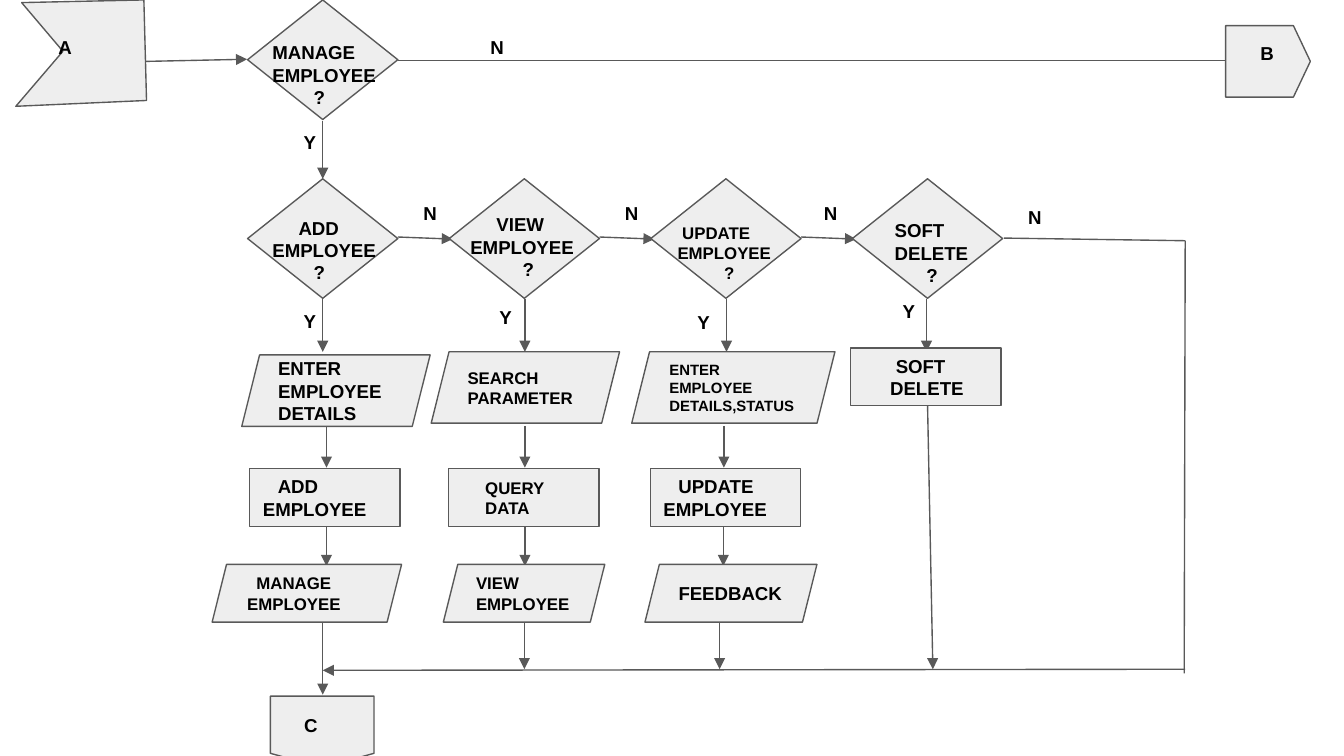
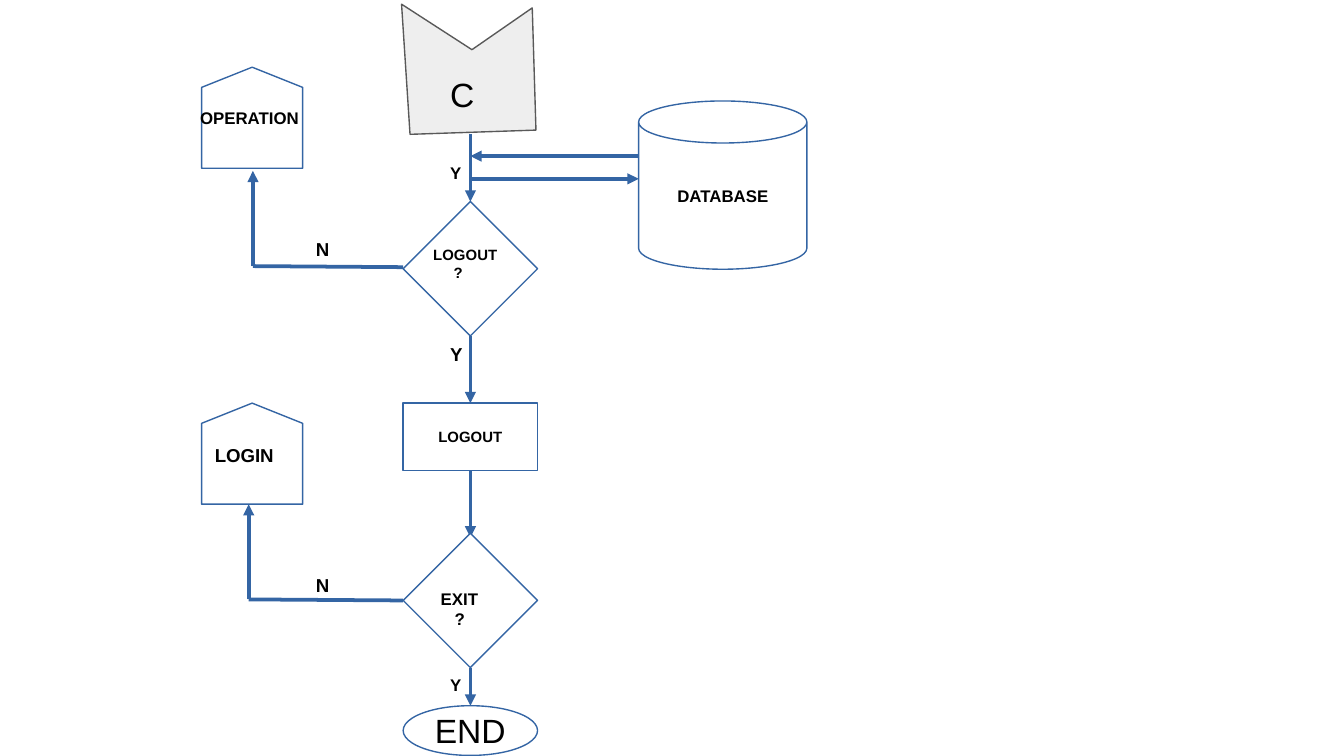
import pptx
import pptx.util
import pptx.dml.color
import pptx.enum.shapes
import pptx.enum.text
from lxml import etree
from pptx.oxml.ns import qn

Cm, Pt = pptx.util.Cm, pptx.util.Pt
RGB = pptx.dml.color.RGBColor.from_string
KIND = pptx.enum.shapes.MSO_SHAPE
ALIGN = pptx.enum.text.PP_ALIGN
MID = pptx.enum.text.MSO_ANCHOR.MIDDLE
TOP = pptx.enum.text.MSO_ANCHOR.TOP

# Theme: type, then one look for each slide
THEME = {
    "font": "Arial", "ink": "000000",
    "big": 18, "mid": 10, "low": 9, "tiny": 8,
    "grey": {"fill": "EEEEEE", "line": "595959", "width": 0.75,
             "inset": 0.25, "wrap": True, "align": ALIGN.LEFT},
    "blue": {"fill": "FFFFFF", "line": "3465A4", "width": 0,
             "inset": 0.13, "wrap": False, "align": ALIGN.CENTER},
}
BIG, MED, LOW, TINY = (THEME[k] for k in ("big", "mid", "low", "tiny"))
GREY, BLUE = THEME["grey"], THEME["blue"]

# Lines of text are split by "|"; pads are the indents of the lines in points.
# Slide 1: one entry for each question, left to right
FIRST, PITCH = 6.1, 3.81          # centre of the first column, column step
GEM = (2.84, 2.26)                # size of a question diamond
GEM_TOP = 3.38
BOX = (2.84, 1.09)
FORM, STEP = KIND.PARALLELOGRAM, KIND.RECTANGLE
ROWS = [(5.65, 6.65), (8.05, 8.84), (9.96, 10.7), (11.76, 12.65)]

COLS = [
    {"ask": ("ADD|EMPLOYEE|?", MED, 4.9, 3.84, 2.84, 1.78, (14, 0, 22)),
     "yes": (5.49, 5.64), "no": (7.75, 3.61), "drops": (6.1, 6.17, 6.17),
     "steps": [(FORM, 4.57, 6.71, 3.56, 1.35, "ENTER EMPLOYEE DETAILS", MED),
               (STEP, 4.72, 8.86, *BOX, "ADD|EMPLOYEE", MED, (8, 0)),
               (FORM, 4.01, 10.67, 3.58, 1.09, "MANAGE|EMPLOYEE", LOW, (5, 0))]},
    {"ask": ("VIEW|EMPLOYEE|?", MED, 8.64, 3.78, 2.69, 1.78, (14, 0, 28)),
     "yes": (9.19, 5.56), "no": (11.56, 3.61), "drops": (9.92, 9.92, 9.92, 9.91),
     "steps": [(FORM, 8.15, 6.65, 3.56, 1.35, "SEARCH|PARAMETER", LOW),
               (STEP, 8.48, 8.86, *BOX, "QUERY|DATA", LOW, (12.5, 12.5)),
               (FORM, 8.38, 10.67, 3.05, 1.09, "VIEW|EMPLOYEE", LOW)]},
    {"ask": ("UPDATE|EMPLOYEE|?", LOW, 12.29, 3.96, 2.84, 1.65, (10, 7.5, 32.5)),
     "yes": (12.93, 5.66), "no": (15.32, 3.61), "drops": (13.73, 13.68, 13.67, 13.6),
     "steps": [(FORM, 11.94, 6.65, 3.84, 1.35, "ENTER EMPLOYEE DETAILS,STATUS", TINY),
               (STEP, 12.29, 8.86, *BOX, "UPDATE|EMPLOYEE", MED, (8, 0)),
               (FORM, 12.19, 10.67, 3.25, 1.09, "FEEDBACK", MED)]},
    {"ask": ("SOFT|DELETE|?", MED, 16.66, 3.89, 2.46, 1.78, (0, 0, 17)),
     "yes": (16.81, 5.46), "no": (19.18, 3.68), "drops": (17.51,),
     "steps": [(STEP, 16.08, 6.58, *BOX, "SOFT|DELETE", MED, (17, 14))]},
]

STAFF = {
    "look": GREY,
    "lines": [  # x1, y1, x2, y2, arrow
        (2.31, 1.17, 4.67, 1.12, True), (7.52, 1.14, 23.57, 1.14, True),
        (6.1, 2.29, 6.1, 3.38, True), (6.1, 11.76, 6.1, 13.13, True),
        (17.53, 7.67, 17.63, 12.65, True), (22.4, 12.65, 6.1, 12.67, True),
        (18.97, 4.5, 22.4, 4.55, False), (22.4, 4.55, 22.38, 12.73, False)],
    "outlines": [[(2.72, 0), (0.41, 0.05), (1.19, 0.97), (0.3, 2.01), (2.77, 1.9)]],
    "nodes": [
        (KIND.DIAMOND, 4.68, 0, *GEM),
        (KIND.FLOWCHART_OFFPAGE_CONNECTOR, 23.29, 0.36, 1.35, 1.6, "", MED, (), 270),
        (KIND.FLOWCHART_OFFPAGE_CONNECTOR, 5.11, 13.16, 1.96, 1.35, "C", MED, (11,))],
    "texts": [
        ("MANAGE|EMPLOYEE|?", MED, 4.9, 0.53, 3.56, 2.21, (0, 0, 22)),
        ("A", MED, -0.03, 0.46, 2.34, 0.94, (25,)),
        ("B", MED, 23.57, 0.58, 0.76, 0.94),
        ("N", MED, 9.02, 0.46, 1.35, 0.94),
        ("Y", MED, 5.49, 2.26, 0.61, 0.94)],
}

# Slide 2: leaving the program, down one axis
AXIS = 8.89
LEAVE = {
    "look": BLUE,
    "lines": [
        (AXIS, 2.54, AXIS, 3.81, True), (AXIS, 6.35, AXIS, 7.62, True),
        (AXIS, 8.89, AXIS, 10.16, True), (AXIS, 12.62, AXIS, 13.34, True),
        (AXIS, 3.38, 12.07, 3.38, True), (12.07, 2.95, AXIS, 2.95, True),
        (4.78, 5.03, 7.62, 5.05, False), (4.78, 5.03, 4.78, 3.23, True),
        (4.7, 11.33, 7.62, 11.35, False), (4.7, 11.33, 4.7, 9.53, True)],
    "outlines": [[(10.13, 2.46), (10.06, 0.15), (8.92, 0.94), (7.59, 0.08), (7.75, 2.54)]],
    "nodes": [
        (KIND.DIAMOND, 7.62, 3.81, 2.54, 2.54),
        (STEP, 7.62, 7.62, 2.54, 1.27, "LOGOUT", TINY),
        (KIND.DIAMOND, 7.62, 10.08, 2.54, 2.54),
        (KIND.OVAL, 7.62, 13.34, 2.54, 0.94, "END", BIG),
        (KIND.CAN, 12.07, 1.91, 3.18, 3.18, "DATABASE", LOW),
        (KIND.FLOWCHART_OFFPAGE_CONNECTOR, 3.81, 7.62, 1.91, 1.91, "", MED, (), 180),
        (KIND.FLOWCHART_OFFPAGE_CONNECTOR, 3.81, 1.27, 1.91, 1.91, "", MED, (), 180)],
    "texts": [
        ("C", BIG, 8.26, 1.27, 0.64, 0.97),
        ("LOGOUT|?", TINY, 7.62, 4.52, 3.18, 1.83, (9, 20)),
        ("EXIT|?", LOW, 8.08, 11, 1.91, 0.97, (0, 7.5)),
        ("LOGIN", MED, 3.81, 8.26, 1.91, 1.04),
        ("OPERATION", LOW, 3.18, 1.91, 3.18, 1.04, (10,)),
        ("N", MED, 5.72, 4.37, 1.27, 0.64),
        ("N", MED, 5.72, 10.72, 1.27, 0.64),
        ("Y", LOW, 8.26, 2.95, 0.64, 0.61),
        ("Y", MED, 8.26, 6.35, 0.64, 0.64),
        ("Y", LOW, 8.26, 12.62, 0.64, 0.61)],
}


# Drawing helpers
def put(obj, vals):
    for key, val in vals.items():
        setattr(obj, key, val)


def paint(shape, look):
    shape.shadow.inherit = False
    shape.fill.solid()
    shape.fill.fore_color.rgb = RGB(look["fill"])
    stroke(shape, look)


def stroke(shape, look):
    shape.line.color.rgb = RGB(look["line"])
    shape.line.width = Pt(look["width"])


def write(shape, text, size, look, pads=(), **extra):
    frame, side, edge = shape.text_frame, Cm(0.25), Cm(look["inset"])
    put(frame, {"margin_left": side, "margin_right": side, "margin_top": edge,
                "margin_bottom": edge, "word_wrap": look["wrap"],
                "vertical_anchor": MID, **extra})
    for i, line in enumerate(text.split("|")):
        para = frame.add_paragraph() if i else frame.paragraphs[0]
        para.alignment = look["align"]
        if i < len(pads):
            para._p.get_or_add_pPr().set("marL", str(Pt(pads[i])))
        run = para.add_run()
        run.text = line
        put(run.font, {"name": THEME["font"], "size": Pt(size), "bold": size != BIG})
        run.font.color.rgb = RGB(THEME["ink"])


def link(slide, look, x1, y1, x2, y2, arrow):
    line = slide.shapes.add_connector(
        pptx.enum.shapes.MSO_CONNECTOR.STRAIGHT, Cm(x1), Cm(y1), Cm(x2), Cm(y2))
    stroke(line, look)
    if arrow:
        etree.SubElement(line.line._get_or_add_ln(), qn("a:tailEnd"), type="triangle")
    etree.SubElement(line._element.spPr, qn("a:effectLst"))


def node(slide, look, kind, x, y, w, h, text="", size=MED, pads=(), turn=0):
    shape = slide.shapes.add_shape(kind, Cm(x), Cm(y), Cm(w), Cm(h))
    paint(shape, look)
    shape.rotation = turn
    if text:
        write(shape, text, size, look, pads)


def label(slide, look, text, size, x, y, w, h, pads=()):
    box = slide.shapes.add_textbox(Cm(x), Cm(y), Cm(w), Cm(h))
    flow = {**look, "align": ALIGN.LEFT, "wrap": True}
    write(box, text, size, flow, pads, vertical_anchor=TOP)


def outline(slide, spots):
    spots = [(Cm(x), Cm(y)) for x, y in spots]
    pen = slide.shapes.build_freeform(*spots[0])
    pen.add_line_segments(spots[1:], close=True)
    paint(pen.convert_to_shape(), GREY)


def draw(deck, page):
    slide, look = deck.slides.add_slide(deck.slide_layouts[6]), page["look"]
    for item in page["lines"]:
        link(slide, look, *item)
    for item in page["outlines"]:
        outline(slide, item)
    for item in page["nodes"]:
        node(slide, look, *item)
    for item in page["texts"]:
        label(slide, look, *item)


# Turn the question columns into lines, nodes and texts
def spread(page, cols):
    wide, high = GEM
    for i, col in enumerate(cols):
        mid = FIRST + i * PITCH
        page["nodes"] += [(KIND.DIAMOND, mid - wide / 2, GEM_TOP, wide, high), *col["steps"]]
        page["lines"] += [(x, a, x, b, True) for x, (a, b) in zip(col["drops"], ROWS)]
        if i < len(cols) - 1:
            edge = mid + wide / 2
            page["lines"].append((edge, 4.48, edge + 1.04, 4.52, True))
        page["texts"] += [col["ask"], ("Y", MED, *col["yes"], 0.61, 0.94),
                          ("N", MED, *col["no"], 0.61, 0.94)]


def main():
    deck = pptx.Presentation()
    put(deck, {"slide_width": Cm(25.4), "slide_height": Cm(14.29)})
    spread(STAFF, COLS)
    for page in (STAFF, LEAVE):
        draw(deck, page)
    deck.save("out.pptx")


if __name__ == "__main__":
    main()
